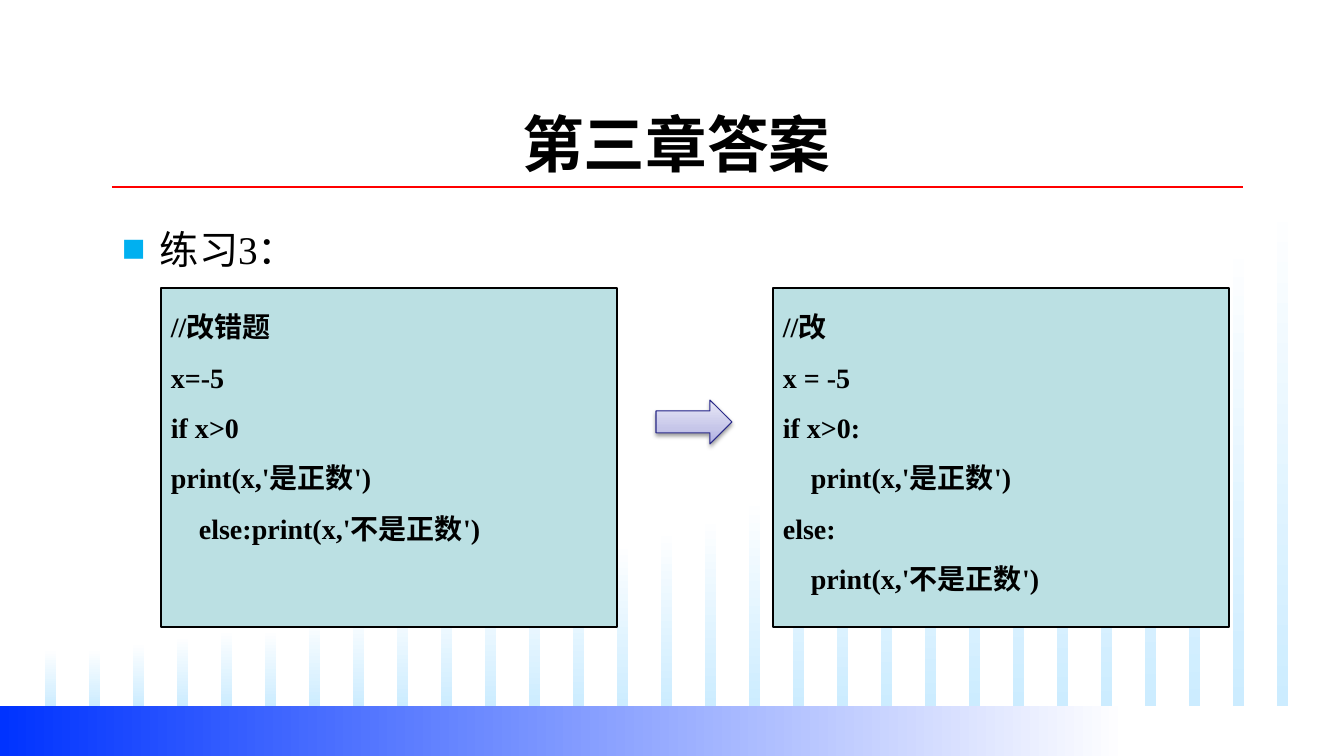
import copy
import dataclasses

import lxml.etree
import pptx
import pptx.dml.color
import pptx.enum.shapes
import pptx.enum.text
import pptx.oxml.ns
import pptx.util

TITLE = "第三章答案"
EXERCISE = "练习3："
WRONG_CODE = [
    (0, "//改错题"),
    (0, "x=-5"),
    (0, "if x>0"),
    (0, "print(x,'是正数')"),
    (1, "else:print(x,'不是正数')"),
]
FIXED_CODE = [
    (0, "//改"),
    (0, "x = -5"),
    (0, "if x>0:"),
    (1, "print(x,'是正数')"),
    (0, "else:"),
    (1, "print(x,'不是正数')"),
]
STRIPE_TOPS = [
    649, 649, 643, 636, 630, 630, 617, 611, 599, 586,
    580, 567, 554, 542, 529, 516, 498, 479, 460, 434,
    415, 391, 359, 347, 340, 308, 277, 240, 202,
]
STRIPE_LEFT, STRIPE_PITCH, STRIPE_WIDTH = 45, 44, 11
SLIDE_WIDTH, SLIDE_HEIGHT = 1344, 756
BAND_TOP, BAND_WIDTH = 706, 1127
RULE = (112, 187, 1243, 187)
TITLE_BOX = (112, 92, 1129, 102)
EXERCISE_BOX = (112, 220, 1165, 98)
ARROW_BOX = (656, 400, 76, 44)
CODE_LEFTS = (161, 773)
CODE_TOP, CODE_WIDTH, CODE_HEIGHT = 288, 456, 339
CODE_INDENT, BULLET_INDENT = 28, 38
EMU_PER_PX = 914400 / 100.8


@dataclasses.dataclass(frozen=True)
class Theme:
    latin: str = "Times New Roman"
    asian: str = "Noto Sans CJK SC"
    text: str = "000000"
    rule: str = "FF0000"
    bullet: str = "00B0F0"
    code_fill: str = "BBE0E3"
    arrow_line: str = "2A2A89"
    stripe: tuple = ((0, "FFFFFF"), (100, "CCECFF"))
    band: tuple = ((0, "0033FF"), (100, "FFFFFF"))
    arrow: tuple = ((0, "ADADE1"), (35, "C6C6E9"), (100, "E9E9F7"))
    title_size: int = 44
    exercise_size: int = 28
    code_size: int = 20


THEME = Theme()
SHAPES = pptx.enum.shapes.MSO_SHAPE
ALIGN = pptx.enum.text.PP_ALIGN
ANCHOR = pptx.enum.text.MSO_ANCHOR
qn = pptx.oxml.ns.qn


def px(value):
    return pptx.util.Emu(round(value * EMU_PER_PX))


def rgb(value):
    return pptx.dml.color.RGBColor.from_string(value)


def apply(target, values):
    for name, value in values.items():
        setattr(target, name, value)


def add_child(parent, tag, **attributes):
    return lxml.etree.SubElement(parent, qn(tag), attributes)


def set_line(line, color, width):
    line.color.rgb = rgb(color)
    line.width = pptx.util.Pt(width)


def set_gradient(shape, stops, angle):
    shape.fill.gradient()
    shape.fill.gradient_angle = angle
    stop_list = shape.element.spPr.find(".//" + qn("a:gsLst"))
    for extra in stops[2:]:
        stop_list.append(copy.deepcopy(stop_list[0]))
    for stop, (percent, color) in zip(shape.fill.gradient_stops, stops):
        stop.color.rgb = rgb(color)
        stop.position = percent / 100


def add_box(slide, kind, box):
    shape = slide.shapes.add_shape(kind, *map(px, box))
    shape.shadow.inherit = False
    return shape


def add_gradient_bar(slide, box, stops, angle):
    bar = add_box(slide, SHAPES.RECTANGLE, box)
    set_gradient(bar, stops, angle)
    bar.line.fill.background()


def write(paragraph, text, size, latin, bold):
    run = paragraph.add_run()
    run.text = text
    apply(run.font, {"name": latin, "size": pptx.util.Pt(size), "bold": bold})
    run.font.color.rgb = rgb(THEME.text)
    add_child(run.font._element, "a:ea", typeface=THEME.asian)


def add_background(slide):
    rule = slide.shapes.add_connector(
        pptx.enum.shapes.MSO_CONNECTOR.STRAIGHT, *map(px, RULE))
    set_line(rule.line, THEME.rule, 0.75)
    add_child(rule.element.spPr, "a:effectLst")
    for index, top in enumerate(STRIPE_TOPS):
        left = STRIPE_LEFT + index * STRIPE_PITCH
        box = (left, top, STRIPE_WIDTH, BAND_TOP - top)
        add_gradient_bar(slide, box, THEME.stripe, 270)
    band_box = (0, BAND_TOP, BAND_WIDTH, SLIDE_HEIGHT - BAND_TOP)
    add_gradient_bar(slide, band_box, THEME.band, 0)


def place_title(slide):
    title = slide.shapes.title
    apply(title, dict(zip(("left", "top", "width", "height"), map(px, TITLE_BOX))))
    apply(title.text_frame, {"vertical_anchor": ANCHOR.MIDDLE, "word_wrap": True})
    paragraph = title.text_frame.paragraphs[0]
    paragraph.alignment = ALIGN.CENTER
    write(paragraph, TITLE, THEME.title_size, THEME.asian, True)
    slide.shapes._spTree.append(title.element)


def add_code(slide, left, lines):
    box = (left, CODE_TOP, CODE_WIDTH, CODE_HEIGHT)
    panel = add_box(slide, SHAPES.RECTANGLE, box)
    panel.fill.solid()
    panel.fill.fore_color.rgb = rgb(THEME.code_fill)
    set_line(panel.line, THEME.text, 1)
    frame = panel.text_frame
    apply(frame, {"vertical_anchor": ANCHOR.TOP, "word_wrap": True})
    for index, (level, text) in enumerate(lines):
        paragraph = frame.add_paragraph() if index else frame.paragraphs[0]
        apply(paragraph, {"alignment": ALIGN.JUSTIFY, "line_spacing": 1.5})
        paragraph._p.get_or_add_pPr().set("marL", str(px(level * CODE_INDENT)))
        write(paragraph, text, THEME.code_size, THEME.latin, True)


def add_exercise(slide):
    frame = slide.shapes.add_textbox(*map(px, EXERCISE_BOX)).text_frame
    frame.word_wrap = True
    paragraph = frame.paragraphs[0]
    paragraph.space_before = pptx.util.Pt(6)
    properties = paragraph._p.get_or_add_pPr()
    properties.set("marL", str(px(BULLET_INDENT)))
    properties.set("indent", str(-px(BULLET_INDENT)))
    add_child(add_child(properties, "a:buClr"), "a:srgbClr", val=THEME.bullet)
    add_child(properties, "a:buFont", typeface=THEME.latin)
    add_child(properties, "a:buChar", char="■")
    write(paragraph, EXERCISE, THEME.exercise_size, THEME.latin, False)


def add_arrow(slide):
    arrow = add_box(slide, SHAPES.RIGHT_ARROW, ARROW_BOX)
    set_gradient(arrow, THEME.arrow, 90)
    set_line(arrow.line, THEME.arrow_line, 0.75)
    effects = arrow.element.spPr.find(qn("a:effectLst"))
    shadow = add_child(effects, "a:outerShdw", blurRad=str(pptx.util.Pt(3.1)),
                       dist=str(pptx.util.Pt(1.6)), dir="5400000", rotWithShape="0")
    color = add_child(shadow, "a:srgbClr", val=THEME.text)
    add_child(color, "a:alpha", val="38000")


def main():
    presentation = pptx.Presentation()
    apply(presentation, {"slide_width": px(SLIDE_WIDTH), "slide_height": px(SLIDE_HEIGHT)})
    slide = presentation.slides.add_slide(presentation.slide_layouts[5])
    add_background(slide)
    place_title(slide)
    add_code(slide, CODE_LEFTS[0], WRONG_CODE)
    add_exercise(slide)
    add_arrow(slide)
    add_code(slide, CODE_LEFTS[1], FIXED_CODE)
    presentation.save("out.pptx")


if __name__ == "__main__":
    main()
